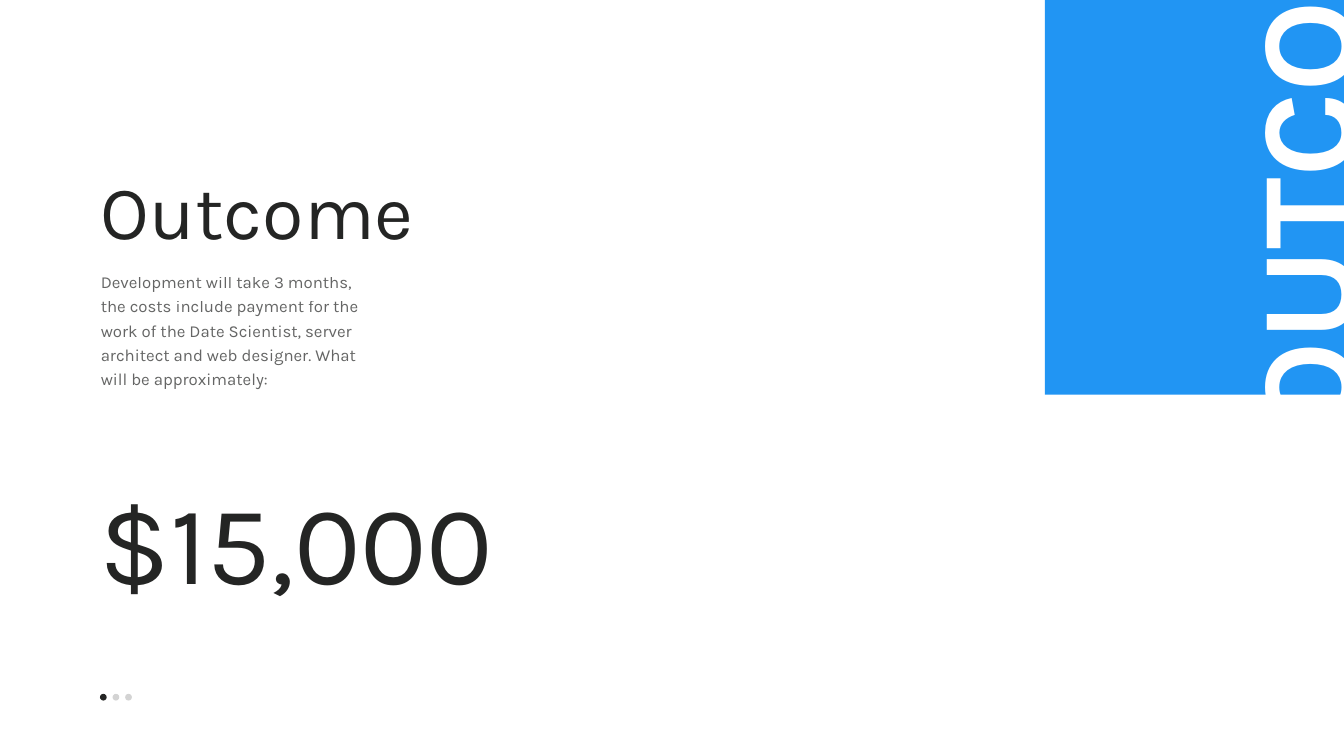
from typing import NamedTuple

from lxml import etree
from pptx import Presentation, util as u
from pptx.dml.color import RGBColor
from pptx.enum import shapes, text
from pptx.oxml.ns import qn

INK = RGBColor(0x24, 0x25, 0x24)
BLUE = RGBColor(0x21, 0x95, 0xF3)
WHITE = RGBColor(0xFF, 0xFF, 0xFF)
FONT = "Karla"

COLS, ROWS = 16, 9
CELL = u.Inches(7.5) / ROWS

BODY = (
    "Development will take 3 months, the costs include payment for the work "
    "of the Date Scientist, server architect and web designer. "
    "What will be approximately:"
)


class Box(NamedTuple):
    """A place on the grid, in columns and rows."""

    col: float
    row: float
    wide: float
    high: float

    def emu(self) -> list[int]:
        return [round(n * CELL) for n in self]


class Dot(NamedTuple):
    col: float
    alpha: int


DOTS = [Dot(1.19 + 0.15 * i, 100 if i == 0 else 20) for i in range(3)]


def fade(fill, alpha: int) -> None:
    """Set the opacity, in percent, of a solid fill's colour."""
    if alpha < 100:
        color = fill._xPr.find(qn("a:solidFill"))[0]
        etree.SubElement(color, qn("a:alpha"), val=str(alpha * 1000))


def draw(slide, kind, box: Box, color: RGBColor, alpha: int = 100) -> None:
    shape = slide.shapes.add_shape(kind, *box.emu())
    shape.shadow.inherit = False
    shape.fill.solid()
    shape.fill.fore_color.rgb = color
    fade(shape.fill, alpha)
    shape.line.fill.background()


def write(shape, words: str, *, size: float, color: RGBColor = INK,
          alpha: int = 100, bold: bool = False, space: float = 1.0,
          wrap: bool = True, pad: float = 0.05, turn: float = 0) -> None:
    shape.rotation = turn
    frame = shape.text_frame
    frame.word_wrap = wrap
    frame.auto_size = text.MSO_AUTO_SIZE.NONE
    frame.vertical_anchor = text.MSO_ANCHOR.TOP
    frame.margin_left = frame.margin_right = 0
    frame.margin_top = frame.margin_bottom = u.Inches(pad)
    para = frame.paragraphs[0]
    para.alignment = text.PP_ALIGN.LEFT
    para.line_spacing = space
    run = para.add_run()
    run.text = words
    font = run.font
    font.name, font.size, font.bold = FONT, u.Pt(size), bold
    font.fill.solid()
    font.fill.fore_color.rgb = color
    fade(font.fill, alpha)


def main() -> None:
    deck = Presentation()
    deck.slide_width = round(COLS * CELL)
    deck.slide_height = round(ROWS * CELL)
    slide = deck.slides.add_slide(deck.slide_layouts[5])

    for dot in DOTS:
        draw(slide, shapes.MSO_SHAPE.OVAL,
             Box(dot.col, 8.26, 0.08, 0.08), INK, dot.alpha)

    title = slide.shapes.title
    title.left, title.top, title.width, title.height = Box(
        1.2, 2.1, 4.7, 1.74).emu()
    write(title, "Outcome", size=54, space=0.8)

    draw(slide, shapes.MSO_SHAPE.RECTANGLE, Box(12.44, 0, 3.56, 4.7), BLUE)

    def label(box: Box, words: str, **form) -> None:
        write(slide.shapes.add_textbox(*box.emu()), words, **form)

    label(Box(11.36, 0.06, 8.26, 1.94), "OUTCOME", size=96, color=WHITE,
          bold=True, wrap=False, pad=0, turn=270)
    label(Box(1.2, 3.13, 3.14, 1.55), BODY, size=12, alpha=70, space=1.2)
    label(Box(1.19, 5.56, 4.87, 1.74), "$15,000", size=80, wrap=False)

    deck.save("out.pptx")


if __name__ == "__main__":
    main()
